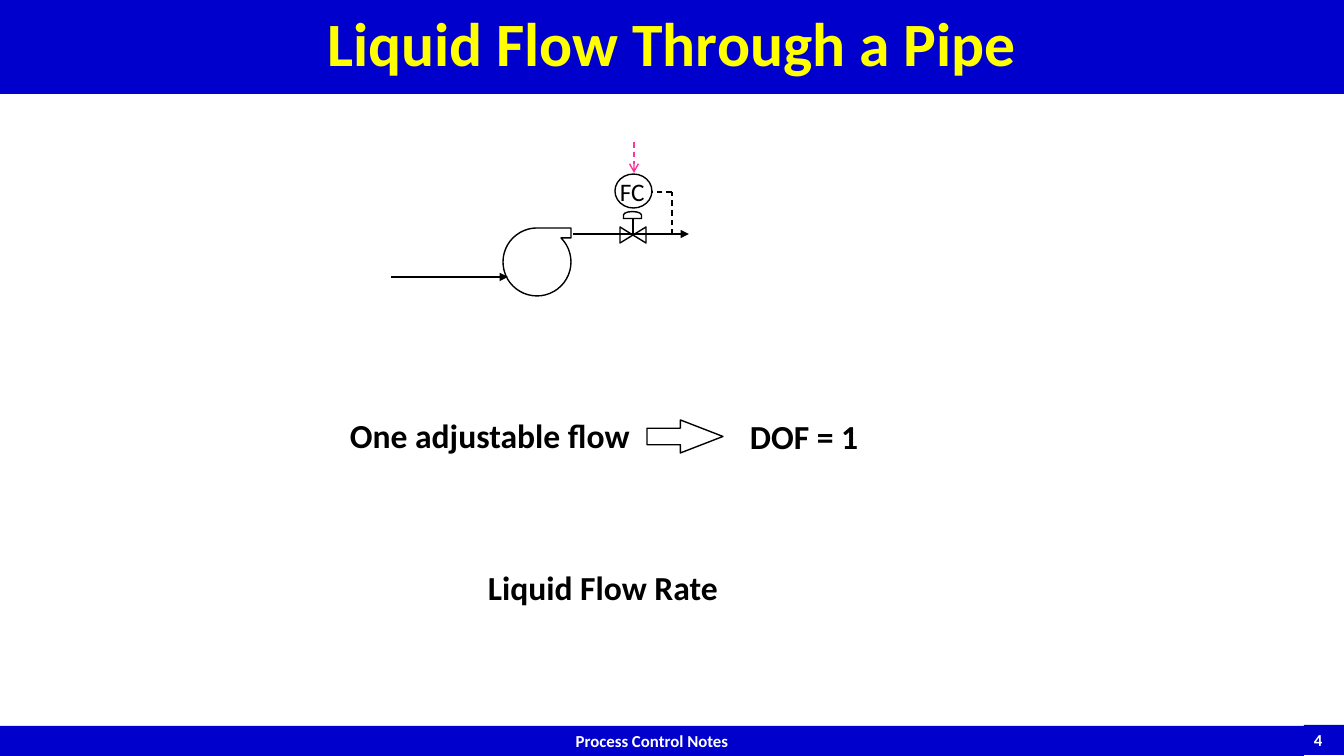
from pptx import Presentation
from pptx.dml.color import RGBColor
from pptx.enum.dml import MSO_LINE
from pptx.enum.shapes import MSO_CONNECTOR, MSO_SHAPE
from pptx.enum.text import MSO_ANCHOR, MSO_AUTO_SIZE, PP_ALIGN
from pptx.oxml.ns import qn
from pptx.util import Pt
from lxml.etree import SubElement

# Content: boxes are left, top, width, height in px
COLORS = {"blue": "0000CC", "yellow": "FFFF00", "white": "FFFFFF",
          "black": "000000", "pink": "FF3399"}
FONT = "Calibri"
TITLE = ("Liquid Flow Through a Pipe", (0, 0, 1344, 94))
BARS = [
    ("Process Control Notes", (0, 726, 1304, 30), PP_ALIGN.CENTER, True),
    ("4", (1304, 725, 40, 30), PP_ALIGN.LEFT, False),
]
PARTS = {  # preset, box, rotation, fill
    "pump": (MSO_SHAPE.FLOWCHART_SEQUENTIAL_ACCESS_STORAGE, (503, 228, 68, 68), 0, None),
    "valve": (MSO_SHAPE.FLOWCHART_COLLATE, (625, 222, 16, 26), 270, "white"),
    "cap": (MSO_SHAPE.FLOWCHART_DELAY, (629, 206, 7, 18), 270, None),
    "control": (MSO_SHAPE.OVAL, (615, 174, 37, 34), 0, None),
    "result": (MSO_SHAPE.RIGHT_ARROW, (647, 420, 76, 33), 0, None),
}
LINES = [  # start, end, color, points, dashed, head
    ((391, 277), (508, 277), "black", 2, False, "triangle"),
    ((573, 234), (689, 234), "black", 2, False, "triangle"),
    ((633, 235), (633, 219), "black", 2, False, None),
    ((672, 235), (672, 192), "black", 1, True, None),
    ((672, 192), (652, 192), "black", 1, True, None),
    ((634, 142), (634, 173), "pink", 1, True, "arrow"),
]
LABELS = [  # text, box, size, bold
    ("One adjustable flow", (340, 410, 303, 50), 24, True),
    ("DOF = 1", (740, 411, 130, 50), 24, True),
    ("Liquid Flow Rate", (478, 562, 252, 50), 24, True),
    ("FC", (610, 171, 45, 40), 18, False),
]
SCALE = 914400 / 100.8


def emu(*nums):
    return [round(n * SCALE) for n in nums]


def rgb(name):
    return RGBColor.from_string(COLORS[name])


def write(shape, text, size, color, bold=True, align=PP_ALIGN.LEFT, wrap=False):
    frame = shape.text_frame
    frame.word_wrap = wrap
    frame.auto_size = MSO_AUTO_SIZE.NONE
    para = frame.paragraphs[0]
    para.alignment = align
    run = para.add_run()
    run.text = text
    font = run.font
    font.name, font.size, font.bold = FONT, Pt(size), bold
    font.color.rgb = rgb(color)
    return frame


def paint(shape, fill, line=None):
    if fill:
        shape.fill.solid()
        shape.fill.fore_color.rgb = rgb(fill)
    else:
        shape.fill.background()
    if line:
        shape.line.color.rgb = rgb(line)
        shape.line.width = Pt(1)
    else:
        shape.line.fill.background()


def draw(kind, box, fill, line=None):
    shape = slide.shapes.add_shape(kind, *emu(*box))
    shape.shadow.inherit = False
    paint(shape, fill, line)
    return shape


def link(start, end, color, width, dashed, head):
    wire = slide.shapes.add_connector(MSO_CONNECTOR.STRAIGHT, *emu(*start, *end))
    wire.line.color.rgb = rgb(color)
    wire.line.width = Pt(width)
    if dashed:
        wire.line.dash_style = MSO_LINE.DASH
    if head:
        SubElement(wire.line._get_or_add_ln(), qn("a:tailEnd"), type=head)
    SubElement(wire._element.spPr, qn("a:effectLst"))


deck = Presentation()
deck.slide_width, deck.slide_height = emu(1344, 756)
slide = deck.slides.add_slide(deck.slide_layouts[5])

# Title and footer bars
title = slide.shapes.title
title.left, title.top, title.width, title.height = emu(*TITLE[1])
paint(title, "blue")
frame = write(title, TITLE[0], 44, "yellow", align=PP_ALIGN.CENTER, wrap=True)
frame.vertical_anchor = MSO_ANCHOR.MIDDLE
frame.paragraphs[0].line_spacing = 0.9
for text, box, align, wrap in BARS:
    bar = draw(MSO_SHAPE.RECTANGLE, box, "blue")
    write(bar, text, 12, "white", align=align, wrap=wrap).vertical_anchor = MSO_ANCHOR.TOP

# Pump, valve, controller and result arrow
shapes = {}
for name, (kind, box, turn, fill) in PARTS.items():
    shapes[name] = draw(kind, box, fill, "black")
    shapes[name].rotation = turn
shapes["pump"]._element.spPr.xfrm.set("flipV", "1")
shapes["result"].adjustments[0] = 0.5
shapes["result"].adjustments[1] = 1.29

# Pipes and signals
for row in LINES:
    link(*row)

# Labels
for text, box, size, bold in LABELS:
    write(slide.shapes.add_textbox(*emu(*box)), text, size, "black", bold)

deck.save("out.pptx")
